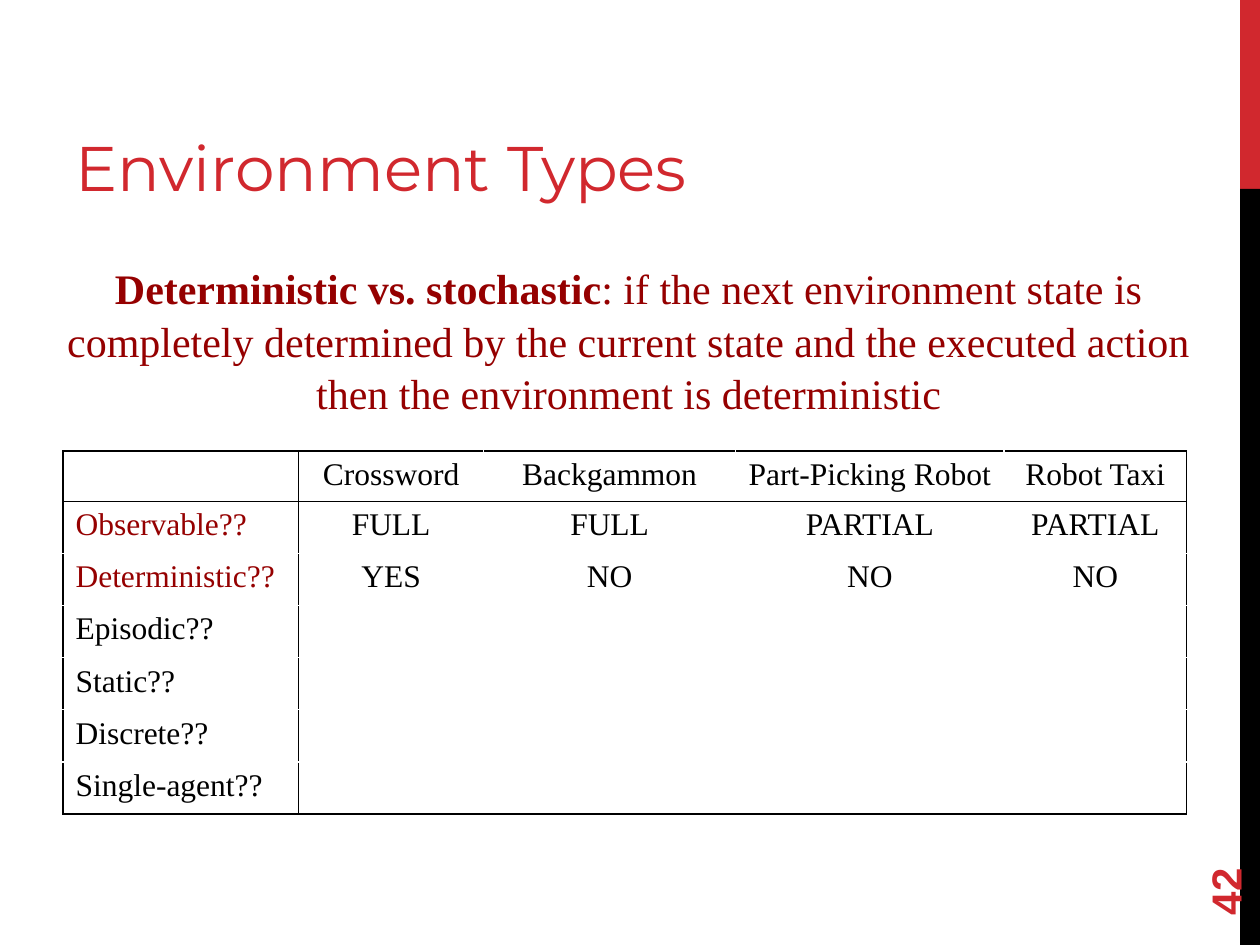
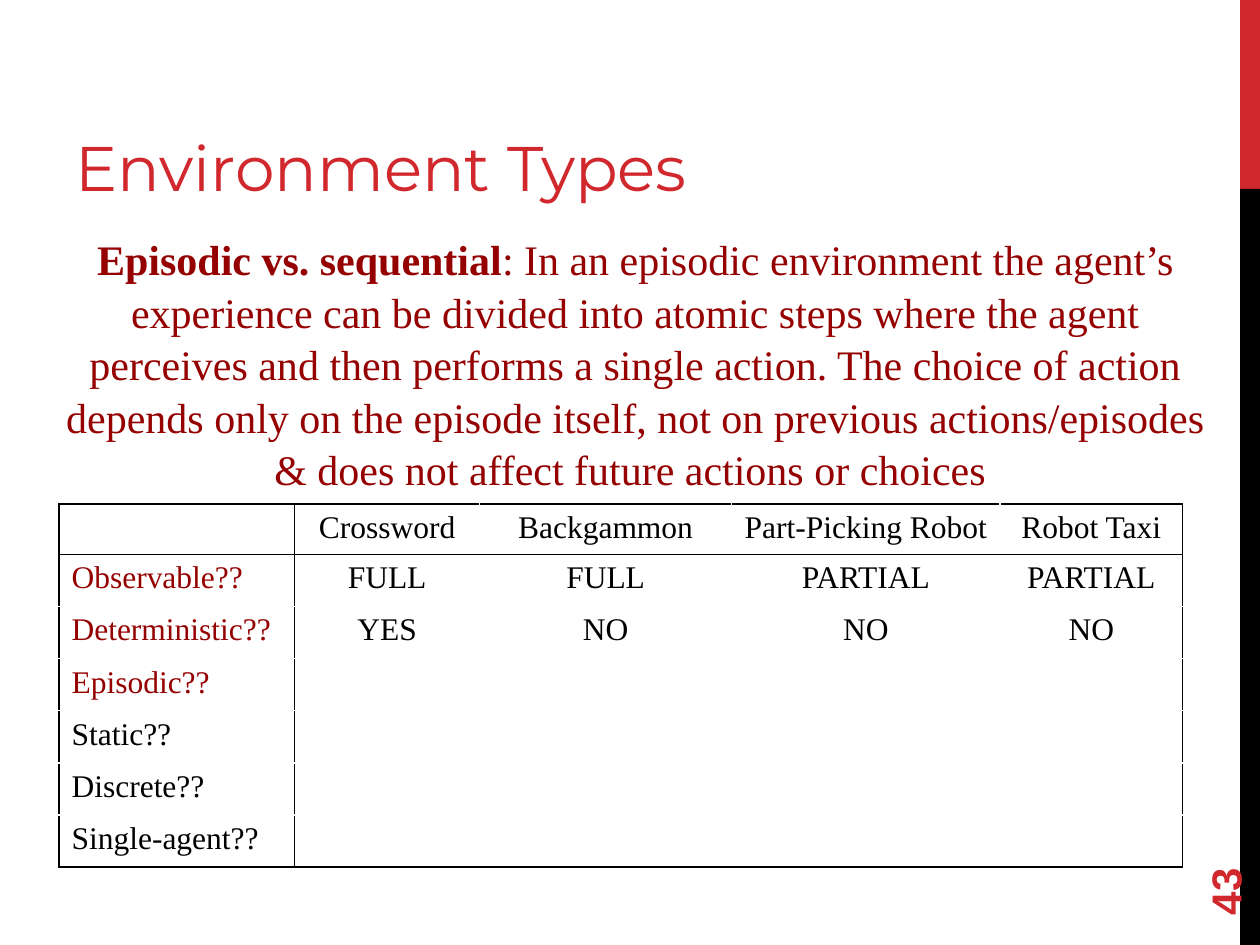
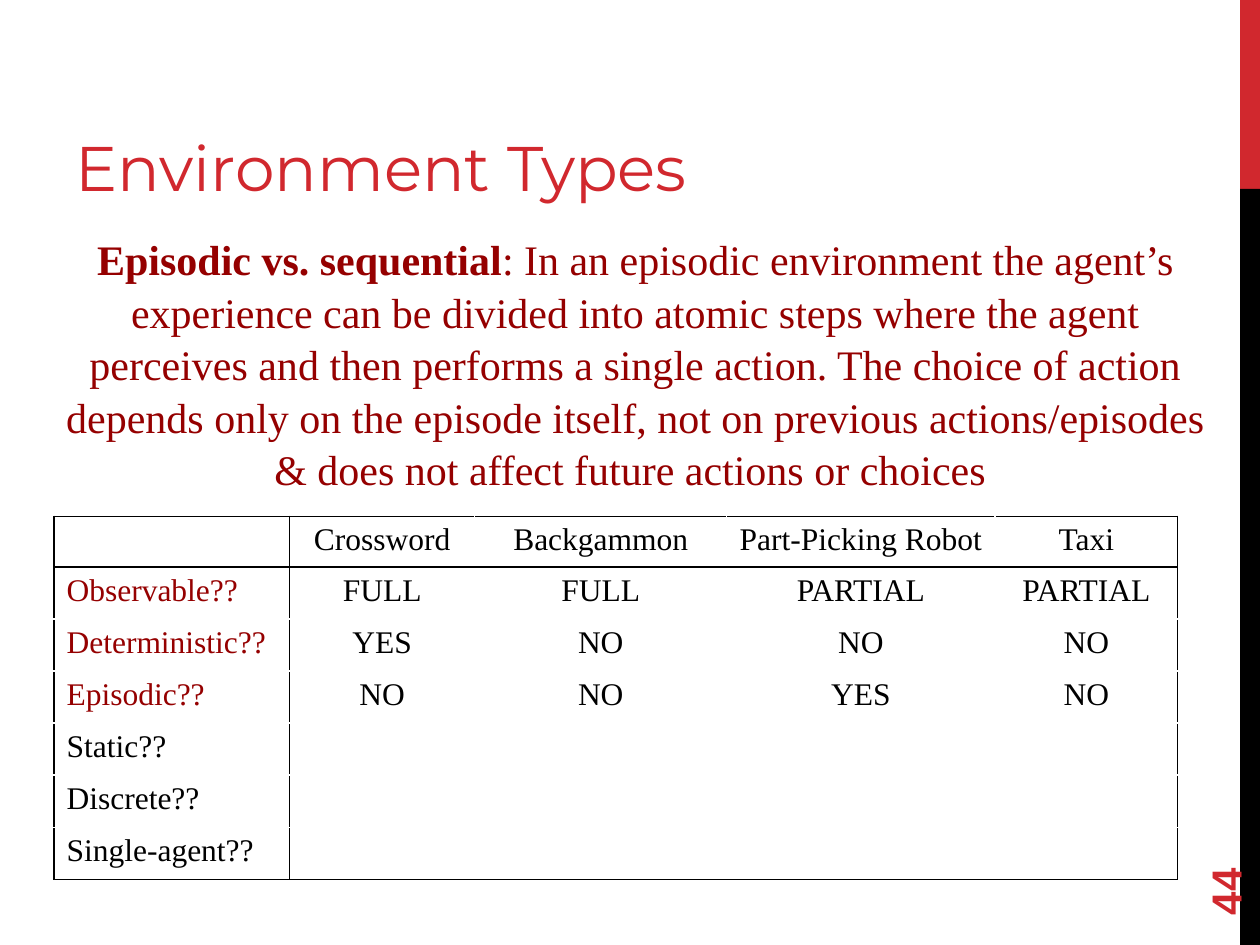
from lxml import etree
from pptx import Presentation
from pptx.dml.color import RGBColor
from pptx.enum.shapes import MSO_SHAPE
from pptx.enum.text import MSO_ANCHOR, MSO_AUTO_SIZE, PP_ALIGN
from pptx.oxml.ns import qn
from pptx.util import Cm, Pt

RECT = MSO_SHAPE.RECTANGLE
LEFT, CENTER = PP_ALIGN.LEFT, PP_ALIGN.CENTER
MIDDLE, BOTTOM = MSO_ANCHOR.MIDDLE, MSO_ANCHOR.BOTTOM
NO_FIT = MSO_AUTO_SIZE.NONE

# Shared look
RED, DARK, BLACK, WHITE = "D1282E", "950000", "000000", "FFFFFF"
HEAD = {"name": "Montserrat", "size": Pt(36), "color": RED}
PAGE = {"name": "Arial", "size": Pt(24), "bold": True, "color": RED}
TERM = {"name": "Times New Roman", "size": Pt(24), "bold": True, "color": DARK}
BODY = {**TERM, "bold": False}
CELL = {"name": "Times New Roman", "size": Pt(18), "color": BLACK}
BANDS = [(0, 3.81, RED), (3.81, 15.24, BLACK)]
COLS = [4.75, 3.73, 5.08, 5.41, 3.68]
ROWS = [0.96] + [1.05] * 6

# Content
TITLE = "Environment Types"
GAMES = ["Crossword", "Backgammon", "Part-Picking Robot"]
TRAITS = ["Observable??", "Deterministic??", "Episodic??",
          "Static??", "Discrete??", "Single-agent??"]
VALUES = [["FULL", "FULL", "PARTIAL", "PARTIAL"],
          ["YES", "NO", "NO", "NO"],
          ["NO", "NO", "YES", "NO"]]
STATE = ("Deterministic vs. stochastic",
         ": if the next environment state is completely determined by the "
         "current state and the executed action then the environment is "
         "deterministic")
EPISODE = ("Episodic vs. sequential",
           ": In an episodic environment the agent’s experience can be divided "
           "into atomic steps where the agent perceives and then performs a "
           "single action. The choice of action depends only on the episode "
           "itself, not on previous actions/episodes & does not affect future "
           "actions or choices ")
HIGH = (0.76, 5.13, 23.83, 3.33)
WIDE = (0.81, 4.55, 24, 5.38)
# red: traits treated so far; known: rows of values filled in
SLIDES = [
    {"page": "42", "text": STATE, "box": HIGH, "at": (1.27, 9.09),
     "last": "Robot Taxi", "red": 2, "known": 2},
    {"page": "43", "text": EPISODE, "box": WIDE, "at": (1.19, 10.16),
     "last": "Robot Taxi", "red": 3, "known": 2},
    {"page": "44", "text": EPISODE, "box": WIDE, "at": (1.09, 10.41),
     "last": "Taxi", "red": 3, "known": 3},
]


def rgb(code):
    return RGBColor.from_string(code)


def write(para, text, form, align=LEFT):
    para.alignment = align
    run = para.add_run()
    run.text = text
    for key, value in form.items():
        if key == "color":
            run.font.color.rgb = rgb(value)
        else:
            setattr(run.font, key, value)


def add_box(slide, box):
    shape = slide.shapes.add_textbox(*map(Cm, box))
    shape.text_frame.word_wrap = True
    return shape


def add_frame(slide, page):
    # Side bands
    for top, height, color in BANDS:
        band = slide.shapes.add_shape(RECT, Cm(25), Cm(top), Cm(0.4), Cm(height))
        band.shadow.inherit = False
        band.fill.solid()
        band.fill.fore_color.rgb = rgb(color)
        band.line.fill.background()
    # Title
    title = slide.shapes.title
    title.left, title.top, title.width, title.height = map(
        Cm, (1.27, 0.43, 16.08, 3.81))
    frame = title.text_frame
    frame.auto_size = NO_FIT
    frame.vertical_anchor = BOTTOM
    write(frame.paragraphs[0], TITLE, HEAD)
    # Page number
    label = add_box(slide, (22.86, 16.36, 3.66, 1.02))
    label.rotation = 270
    label.text_frame.vertical_anchor = MIDDLE
    write(label.text_frame.paragraphs[0], page, PAGE)


def add_edges(cell, sides):
    props = cell._tc.get_or_add_tcPr()
    for side in sides:
        line = etree.SubElement(props, qn("a:ln" + side), w=str(Pt(1)))
        fill = etree.SubElement(line, qn("a:solidFill"))
        etree.SubElement(fill, qn("a:srgbClr"), val=BLACK)


def add_grid(slide, data):
    heads = [""] + GAMES + [data["last"]]
    blank = [""] * len(VALUES[0])
    known = VALUES[:data["known"]]
    known += [blank] * (len(TRAITS) - len(known))
    rows = [heads] + [[trait] + vals for trait, vals in zip(TRAITS, known)]

    spot = map(Cm, (*data["at"], sum(COLS), sum(ROWS)))
    grid = slide.shapes.add_table(len(ROWS), len(COLS), *spot).table
    grid.first_row = grid.horz_banding = False
    for col, width in zip(grid.columns, COLS):
        col.width = Cm(width)
    for row, height in zip(grid.rows, ROWS):
        row.height = Cm(height)

    end_row, end_col = len(ROWS) - 1, len(COLS) - 1
    for r, row in enumerate(rows):
        for c, text in enumerate(row):
            cell = grid.cell(r, c)
            # Lines run round the table, under its head and beside its traits
            edges = {"L": c < 2, "R": c in (0, end_col),
                     "T": r < 2, "B": r in (0, end_row)}
            add_edges(cell, [side for side, on in edges.items() if on])
            cell.fill.solid()
            cell.fill.fore_color.rgb = rgb(WHITE)
            para = cell.text_frame.paragraphs[0]
            if text:
                red = c == 0 and r <= data["red"]
                write(para, text, {**CELL, "color": DARK if red else BLACK},
                      CENTER if c else LEFT)
            else:
                etree.SubElement(para._p, qn("a:endParaRPr"), sz="1200")


def main():
    prs = Presentation()
    prs.slide_width, prs.slide_height = Cm(25.4), Cm(19.05)
    for data in SLIDES:
        slide = prs.slides.add_slide(prs.slide_layouts[5])
        add_frame(slide, data["page"])
        add_grid(slide, data)
        # Definition
        para = add_box(slide, data["box"]).text_frame.paragraphs[0]
        para.line_spacing = 1.04
        for text, form in zip(data["text"], (TERM, BODY)):
            write(para, text, form, CENTER)
    prs.save("out.pptx")


if __name__ == "__main__":
    main()
